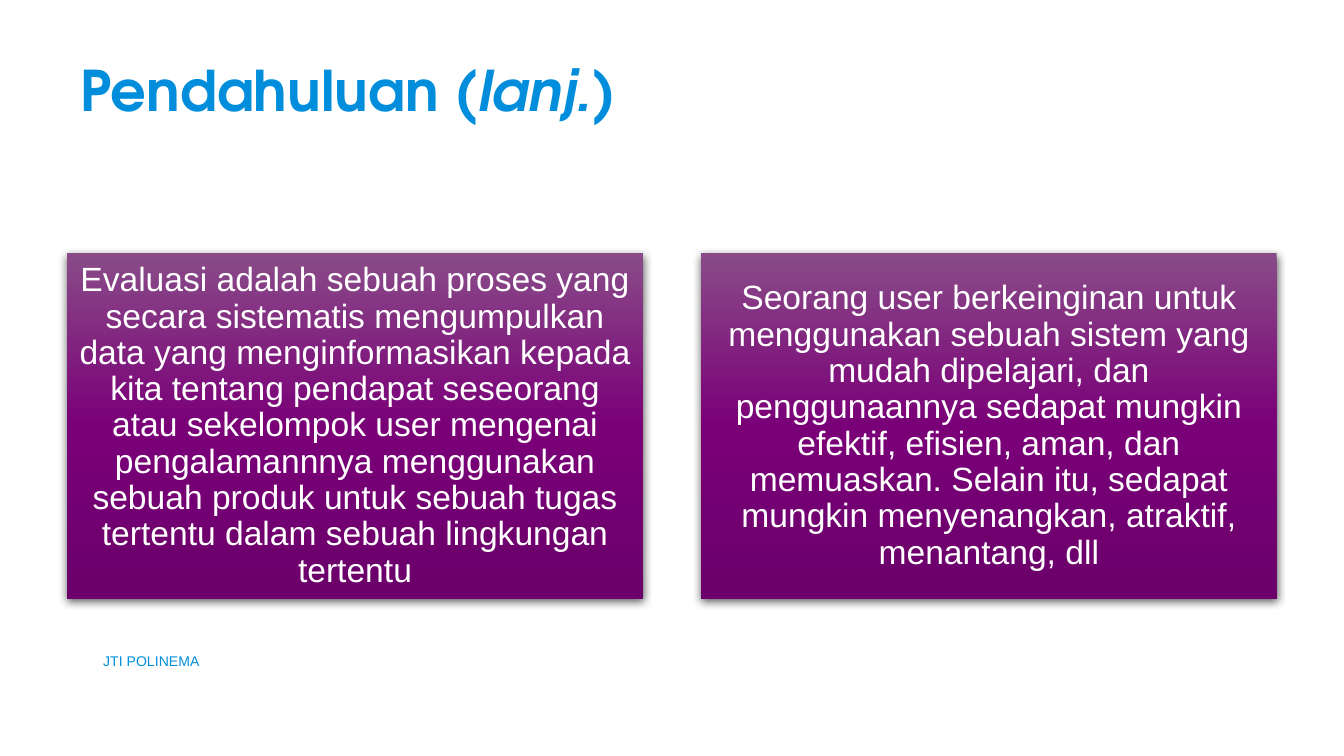
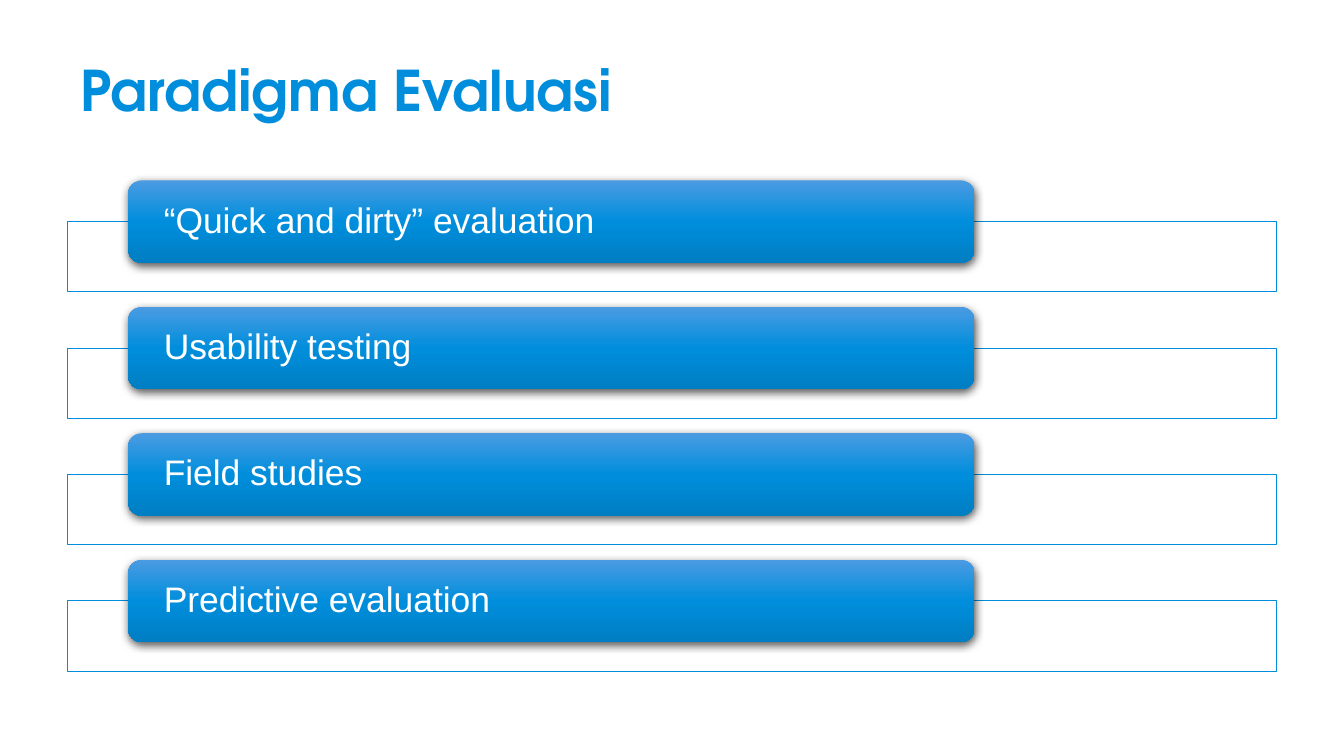
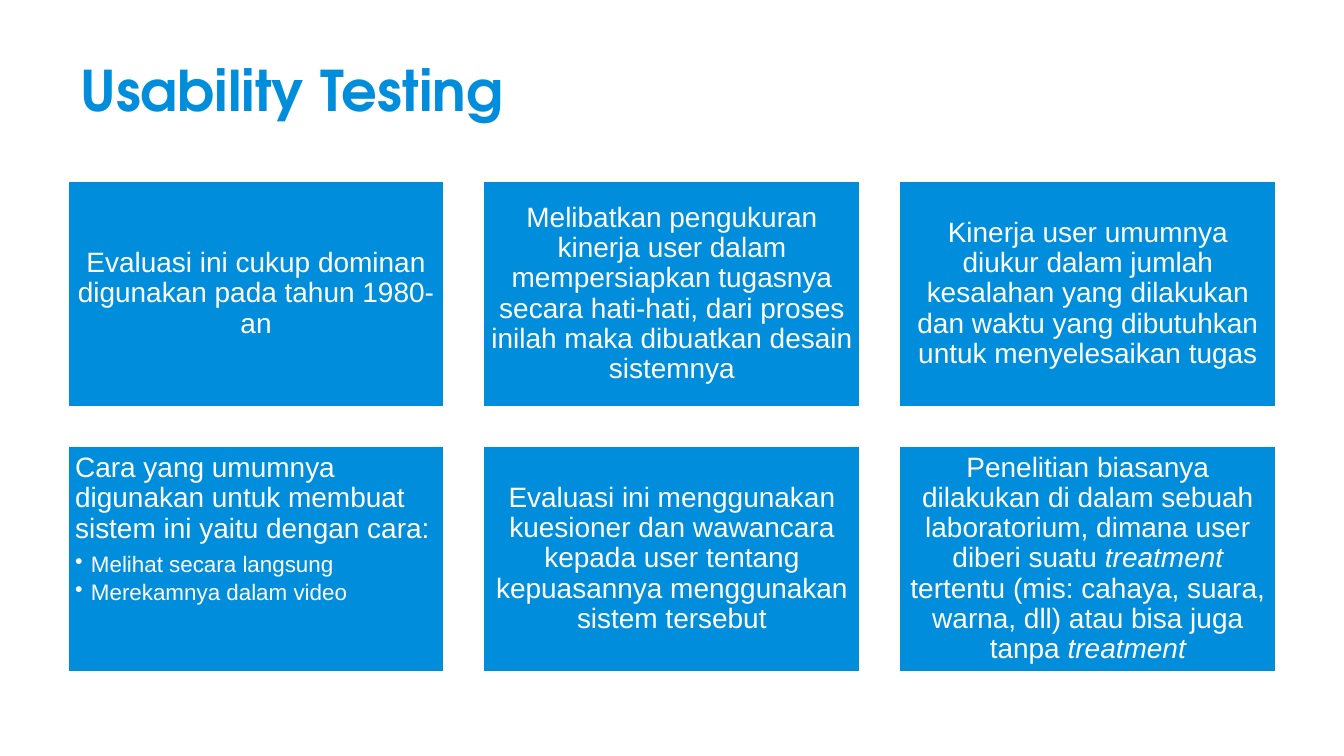
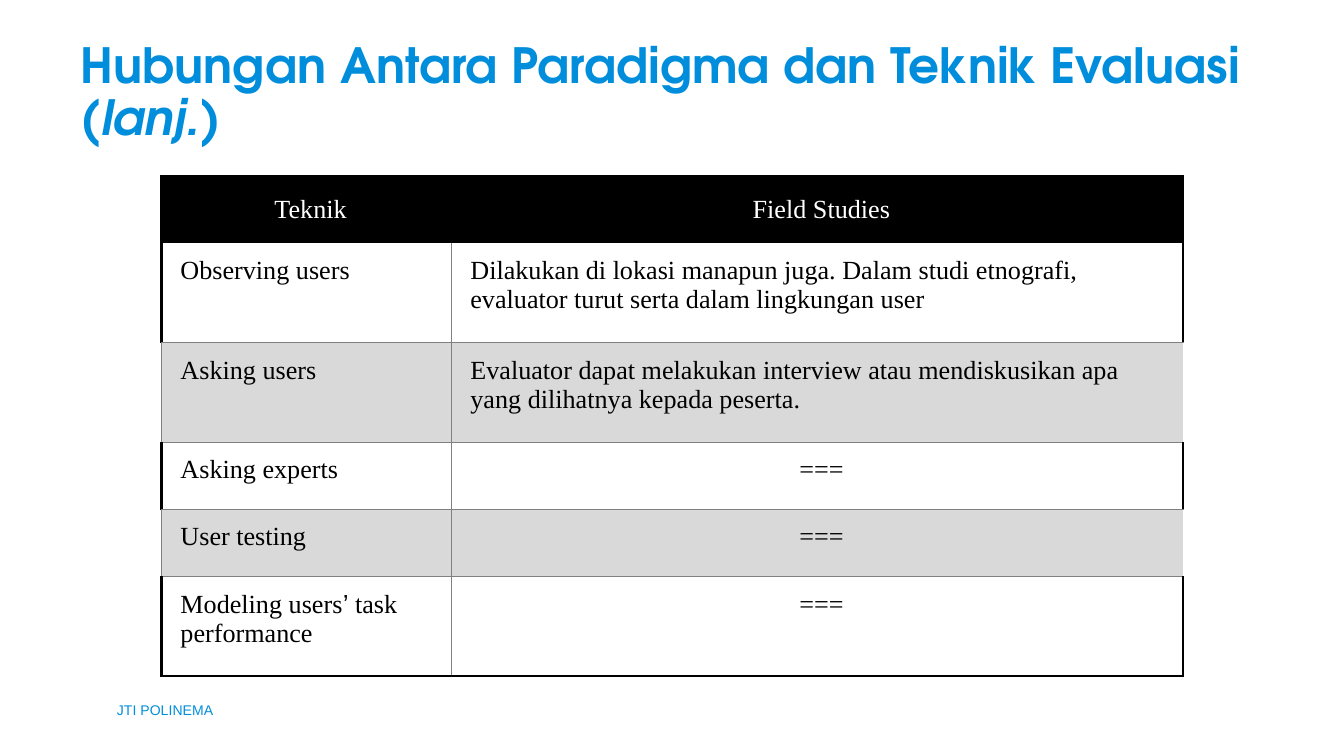
from copy import deepcopy
from dataclasses import dataclass

from pptx import Presentation
from pptx.dml.color import RGBColor
from pptx.enum.shapes import MSO_SHAPE as Shape
from pptx.enum.text import MSO_ANCHOR as Anchor, MSO_AUTO_SIZE as AutoSize, PP_ALIGN as Align
from pptx.oxml import parse_xml
from pptx.oxml.ns import nsdecls, qn
from pptx.util import Cm, Pt

# Content: text between asterisks is set in the accent style
FOOTER = "JTI POLINEMA"

INTRO_TITLE = "Pendahuluan (*lanj.*)"
INTRO_PANELS = [
    "Evaluasi adalah sebuah proses yang secara sistematis mengumpulkan data yang "
    "menginformasikan kepada kita tentang pendapat seseorang atau sekelompok user "
    "mengenai pengalamannnya menggunakan sebuah produk untuk sebuah tugas tertentu "
    "dalam sebuah lingkungan tertentu",
    "Seorang user berkeinginan untuk menggunakan sebuah sistem yang mudah dipelajari, "
    "dan penggunaannya sedapat mungkin efektif, efisien, aman, dan memuaskan. Selain "
    "itu, sedapat mungkin menyenangkan, atraktif, menantang, dll",
]

PARADIGM_TITLE = "Paradigma Evaluasi"
PARADIGMS = [
    "“Quick and dirty” evaluation",
    "Usability testing",
    "Field studies",
    "Predictive evaluation",
]

TESTING_TITLE = "Usability Testing"
TESTING_CARDS = [  # (statement, bullets)
    ("Evaluasi ini cukup dominan digunakan pada tahun 1980-an", []),
    ("Melibatkan pengukuran kinerja user dalam mempersiapkan tugasnya secara "
     "hati-hati, dari proses inilah maka dibuatkan desain sistemnya", []),
    ("Kinerja user umumnya diukur dalam jumlah kesalahan yang dilakukan dan waktu "
     "yang dibutuhkan untuk menyelesaikan tugas", []),
    ("Cara yang umumnya digunakan untuk membuat sistem ini yaitu dengan cara:",
     ["Melihat secara langsung", "Merekamnya dalam video"]),
    ("Evaluasi ini menggunakan kuesioner dan wawancara kepada user tentang "
     "kepuasannya menggunakan sistem tersebut", []),
    ("Penelitian biasanya dilakukan di dalam sebuah laboratorium, dimana user diberi "
     "suatu *treatment* tertentu (mis: cahaya, suara, warna, dll) atau bisa juga "
     "tanpa *treatment*", []),
]

TECHNIQUE_TITLE = "Hubungan Antara Paradigma dan Teknik Evaluasi (*lanj.*)"
SAME = "==="
TECHNIQUES = [
    ("Teknik", "Field Studies"),
    ("Observing users", "Dilakukan di lokasi manapun juga. Dalam studi etnografi, "
                        "evaluator turut serta dalam lingkungan user"),
    ("Asking users", "Evaluator dapat melakukan interview atau mendiskusikan apa "
                     "yang dilihatnya kepada peserta."),
    ("Asking experts", SAME),
    ("User testing", SAME),
    ("Modeling users*’* task performance", SAME),
]


# Theme
@dataclass(frozen=True)
class Style:
    font: str
    size: float
    color: str
    bold: bool = False


@dataclass(frozen=True)
class Theme:
    blue: str = "008EDC"
    white: str = "FFFFFF"
    black: str = "000000"
    grey: str = "808080"
    shade: str = "D9D9D9"
    purple_fade: tuple = ("894B88", "7A0078", "6C006B")
    blue_fade: tuple = ("4B9BE2", "008EDC", "007EC3")
    title: Style = Style("TeX Gyre Adventor", 30, "008EDC", True)
    long_title: Style = Style("TeX Gyre Adventor", 26, "008EDC", True)
    footer: Style = Style("Arial", 7.5, "008EDC")
    panel: Style = Style("Arial", 18, "FFFFFF")
    paradigm: Style = Style("Arial", 19, "FFFFFF")
    card: Style = Style("Arial", 15, "FFFFFF")
    bullet: Style = Style("Arial", 12, "FFFFFF")
    header: Style = Style("Times New Roman", 14, "FFFFFF")
    cell: Style = Style("Times New Roman", 14, "000000")


THEME = Theme()
MARGIN, CONTENT_WIDTH = 1.27, 22.86  # cm, as all layout numbers below


# Text helpers
def write(paragraph, text, style, align=Align.LEFT, spacing=0.9, accent_font=None):
    paragraph.alignment = align
    paragraph.line_spacing = spacing
    font = paragraph.font
    font.name, font.size, font.bold = style.font, Pt(style.size), style.bold
    font.color.rgb = RGBColor.from_string(style.color)
    for index, part in enumerate(text.split("*")):
        if not part:
            continue
        run = paragraph.add_run()
        run.text = part
        if index % 2 and accent_font:
            run.font.name = accent_font
        elif index % 2:
            run.font.italic = True


def set_frame(frame, anchor=Anchor.MIDDLE, side=0.25, ends=0.13):
    frame.word_wrap = True
    frame.auto_size = AutoSize.NONE
    frame.vertical_anchor = anchor
    frame.margin_left = frame.margin_right = Cm(side)
    frame.margin_top = frame.margin_bottom = Cm(ends)


def add_bullet(paragraph):
    props = paragraph._p.get_or_add_pPr()
    props.set("marL", str(Cm(0.3)))
    props.set("indent", str(-Cm(0.3)))
    props.append(parse_xml(f'<a:buChar {nsdecls("a")} char="•"/>'))


# Shape helpers
def add_box(slide, kind, left, top, width, height, fill=None, line=None, line_width=0):
    box = slide.shapes.add_shape(kind, Cm(left), Cm(top), Cm(width), Cm(height))
    box.shadow.inherit = False
    if fill:
        box.fill.solid()
        box.fill.fore_color.rgb = RGBColor.from_string(fill)
    if line:
        box.line.color.rgb = RGBColor.from_string(line)
        box.line.width = Pt(line_width)
    else:
        box.line.fill.background()
    return box


def add_raised_box(slide, kind, left, top, width, height, fade):
    """A box with a downward three-colour fade and a soft shadow."""
    box = add_box(slide, kind, left, top, width, height)
    box.fill.gradient()
    box.fill.gradient_angle = 270
    props = box._element.spPr
    stop_list = props.find(".//" + qn("a:gsLst"))
    stop_list.insert(1, deepcopy(stop_list[0]))
    for stop, color, position in zip(box.fill.gradient_stops, fade, (0, 0.5, 1)):
        stop.color.rgb = RGBColor.from_string(color)
        stop.position = position
    props.find(qn("a:effectLst")).append(parse_xml(
        f'<a:outerShdw {nsdecls("a")} blurRad="{Pt(4.5)}" dist="{Pt(1.5)}" '
        f'dir="5400000" algn="ctr" rotWithShape="0"><a:srgbClr val="{THEME.black}">'
        '<a:alpha val="63000"/></a:srgbClr></a:outerShdw>'))
    return box


# Parts shared by the slides
def add_slide(deck, title, style=THEME.title):
    slide = deck.slides.add_slide(deck.slide_layouts[5])
    heading = slide.shapes.title
    heading.left, heading.top = Cm(MARGIN), Cm(0.58)
    heading.width, heading.height = Cm(CONTENT_WIDTH), Cm(2.39)
    set_frame(heading.text_frame)
    write(heading.text_frame.paragraphs[0], title, style)
    return slide


def add_footer(slide, left, top):
    footer = slide.shapes.add_textbox(Cm(left), Cm(top), Cm(7.09), Cm(0.76))
    set_frame(footer.text_frame)
    write(footer.text_frame.paragraphs[0], FOOTER, THEME.footer, spacing=1)


# Slides
def build_intro(deck):
    slide = add_slide(deck, INTRO_TITLE)
    add_footer(slide, 1.7, 12.12)
    width = 10.88
    pitch = CONTENT_WIDTH - width
    for index, statement in enumerate(INTRO_PANELS):
        panel = add_raised_box(slide, Shape.RECTANGLE, MARGIN + index * pitch, 4.79,
                               width, 6.53, THEME.purple_fade)
        set_frame(panel.text_frame, side=0.18, ends=0.18)
        write(panel.text_frame.paragraphs[0], statement, THEME.panel, Align.CENTER)


def build_paradigms(deck):
    slide = add_slide(deck, PARADIGM_TITLE)
    first_top, pitch = 3.41, 2.39
    for index, paradigm in enumerate(PARADIGMS):
        top = first_top + index * pitch
        add_box(slide, Shape.RECTANGLE, MARGIN, top + 0.78, CONTENT_WIDTH, 1.33,
                THEME.white, THEME.blue, 0.5)
        label = add_raised_box(slide, Shape.ROUNDED_RECTANGLE, 2.42, top, 16, 1.56,
                               THEME.blue_fade)
        set_frame(label.text_frame, side=0.6, ends=0)
        write(label.text_frame.paragraphs[0], paradigm, THEME.paradigm)


def build_testing(deck):
    slide = add_slide(deck, TESTING_TITLE)
    columns, width, height = 3, 7.14, 4.29
    gap = (CONTENT_WIDTH - columns * width) / (columns - 1)
    for index, (statement, bullets) in enumerate(TESTING_CARDS):
        row, column = divmod(index, columns)
        card = add_box(slide, Shape.RECTANGLE, MARGIN + column * (width + gap),
                       3.41 + row * (height + gap), width, height,
                       THEME.blue, THEME.white, 1.5)
        frame = card.text_frame
        set_frame(frame, Anchor.TOP if bullets else Anchor.MIDDLE, 0.15, 0.15)
        lead = frame.paragraphs[0]
        write(lead, statement, THEME.card, Align.LEFT if bullets else Align.CENTER)
        if bullets:
            lead.space_after = Pt(5)
        for bullet in bullets:
            item = frame.add_paragraph()
            item.level = 1
            add_bullet(item)
            write(item, bullet, THEME.bullet)
            item.space_after = Pt(2)


def set_borders(cell, **borders):
    """Draw the given sides (L, R, T, B), each a (colour, points) pair."""
    sides = [side for side in "LRTB" if borders.get(side)]
    for index, side in enumerate(sides):
        color, points = borders[side]
        cell._tc.get_or_add_tcPr().insert(index, parse_xml(
            f'<a:ln{side} {nsdecls("a")} w="{Pt(points)}"><a:solidFill>'
            f'<a:srgbClr val="{color}"/></a:solidFill></a:ln{side}>'))


def build_techniques(deck):
    slide = add_slide(deck, TECHNIQUE_TITLE, THEME.long_title)
    add_footer(slide, 1.96, 13.03)
    widths, heights = (5.48, 13.83), (1.27, 1.88, 1.88, 1.27, 1.27, 1.88)
    holder = slide.shapes.add_table(len(heights), len(widths), Cm(3.05), Cm(3.33),
                                    Cm(sum(widths)), Cm(sum(heights)))
    table = holder.table
    table.first_row = table.horz_banding = False
    no_style = "{2D5ABB26-0587-4C30-8999-92F81FD0307C}"
    table._tbl.tblPr.find(qn("a:tableStyleId")).text = no_style
    for column, width in zip(table.columns, widths):
        column.width = Cm(width)
    for row, height in zip(table.rows, heights):
        row.height = Cm(height)

    thick, thin = (THEME.black, 1.5), (THEME.grey, 0.5)
    last = len(TECHNIQUES) - 1
    for r, entries in enumerate(TECHNIQUES):
        header, shaded = r == 0, r > 0 and r % 2 == 0
        fill = THEME.black if header else THEME.shade if shaded else THEME.white
        for c, entry in enumerate(entries):
            cell = table.cell(r, c)
            cell.margin_left, cell.margin_right = Cm(0.36), Cm(0.2)
            cell.margin_top = cell.margin_bottom = Cm(0.25)
            cell.vertical_anchor = Anchor.MIDDLE if header else Anchor.TOP
            write(cell.text_frame.paragraphs[0], entry,
                  THEME.header if header else THEME.cell,
                  Align.CENTER if header or entry == SAME else Align.LEFT,
                  spacing=1, accent_font="Arial")
            cell.fill.solid()
            cell.fill.fore_color.rgb = RGBColor.from_string(fill)
            inner = None if header else thin
            left_edge = thin if shaded else thick
            right_edge = None if shaded else thick
            bottom = thick if r == last else None if header or shaded else thin
            set_borders(cell,
                        L=inner if c else left_edge,
                        R=right_edge if c else inner,
                        T=thick if header else thin if shaded else None,
                        B=bottom)


def main():
    deck = Presentation()
    deck.slide_width, deck.slide_height = Cm(25.4), Cm(14.29)
    for build in (build_intro, build_paradigms, build_testing, build_techniques):
        build(deck)
    deck.save("out.pptx")


if __name__ == "__main__":
    main()
